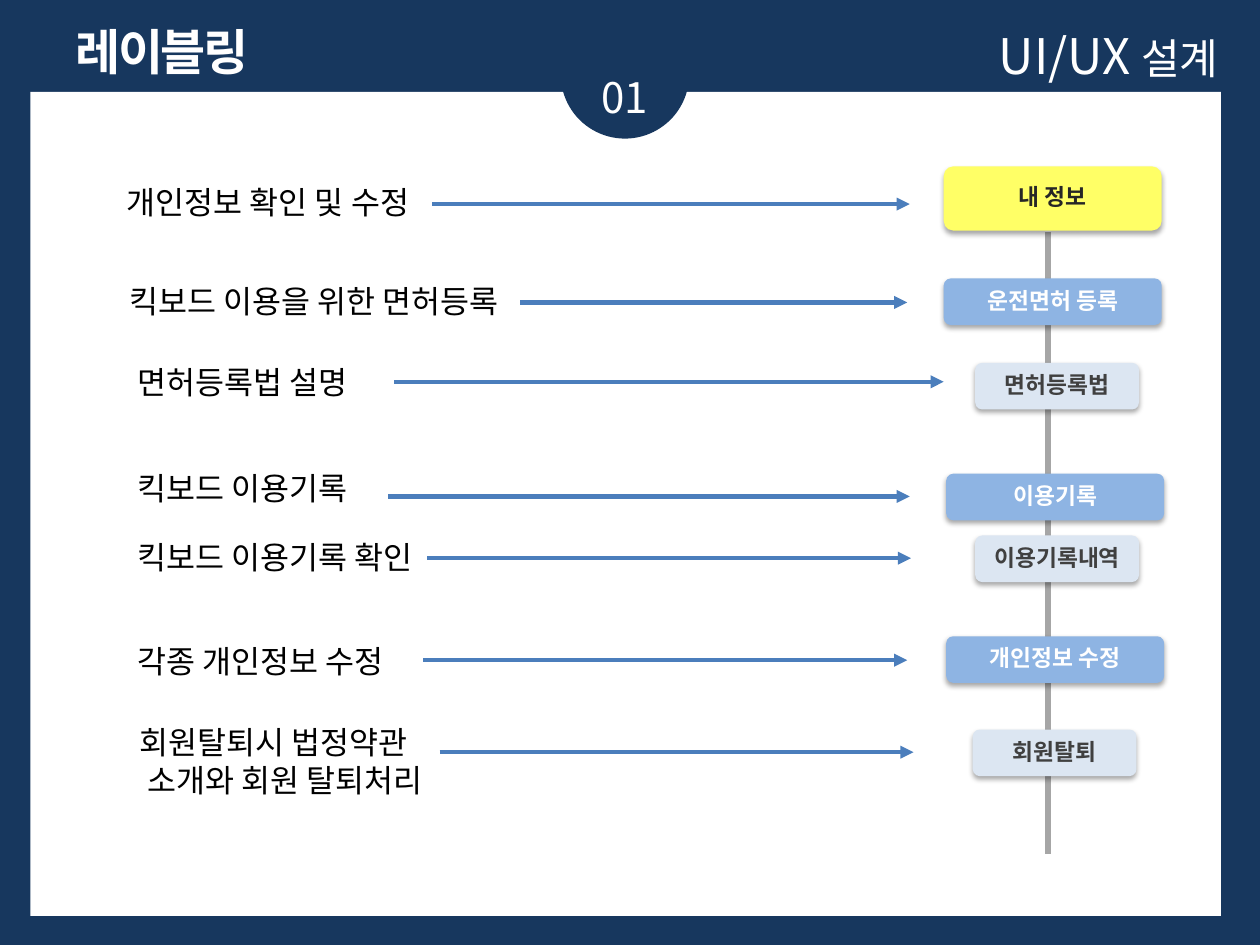
from lxml import etree
from pptx import Presentation, util as u
from pptx.dml.color import RGBColor
from pptx.enum import shapes, text
from pptx.oxml import ns

FONT = "Noto Sans CJK KR"
COLORS = {
    "navy": "17375E", "white": "FFFFFF", "black": "000000",
    "yellow": "FFFF66", "blue": "8EB4E3", "pale": "DCE6F2",
    "ink": "262626", "slate": "404040", "rail": "A6A6A6", "arrow": "4B7EBC",
}
# The slide is a grid of 100 columns and 75 rows.
COLUMNS, ROWS = 100, 75
WIDTH, HEIGHT = u.Inches(10), u.Inches(7.5)
RAIL = 83.2

# Menu level: width, height, fill, text colour
LEVELS = {
    "top": (17.3, 5.1, "yellow", "ink"),
    "main": (17.3, 3.7, "blue", "white"),
    "sub": (13, 3.7, "pale", "slate"),
}

# Label lines, label left and top, arrow start, end and row, menu name, level, left and top
ENTRIES = [
    (["개인정보 확인 및 수정"], 9.1, 14, 34.3, 72.2, 16.2, "내 정보", "top", 74.9, 13.2),
    (["킥보드 이용을 위한 면허등록"], 9.3, 21.9, 41.3, 72, 24, "운전면허 등록", "main", 74.9, 22.1),
    (["면허등록법 설명"], 9.9, 28.3, 31.3, 74.9, 30.3, "면허등록법", "sub", 77.4, 28.8),
    (["킥보드 이용기록"], 9.9, 36.7, 30.8, 72.2, 39.4, "이용기록", "main", 75.1, 37.6),
    (["킥보드 이용기록 확인"], 9.9, 42.2, 33.9, 72.3, 44.3, "이용기록내역", "sub", 77.4, 42.5),
    (["각종 개인정보 수정"], 9.9, 50.5, 33.6, 72, 52.4, "개인정보 수정", "main", 75.1, 50.5),
    (["회원탈퇴시 법정약관", "소개와 회원 탈퇴처리"], 10.1, 56.9, 34.9, 72.5, 59.7,
     "회원탈퇴", "sub", 77.2, 57.9),
]


def across(columns):
    """Length of a number of grid columns."""
    return u.Emu(round(WIDTH * columns / COLUMNS))


def down(rows):
    """Length of a number of grid rows."""
    return u.Emu(round(HEIGHT * rows / ROWS))


def place(left, top, width, height):
    """Turn a grid area into slide lengths."""
    return across(left), down(top), across(width), down(height)


def rgb(name):
    """Look up a named colour."""
    return RGBColor.from_string(COLORS[name])


def add_span(para, words, size=18, color="black", bold=False, spacing=None):
    """Add formatted words to a paragraph."""
    span = para.add_run()
    span.text = words
    span.font.size, span.font.bold, span.font.name = u.Pt(size), bold, FONT
    span.font.color.rgb = rgb(color)
    properties = span.font._element
    etree.SubElement(properties, ns.qn("a:ea"), typeface=FONT)
    if spacing is not None:
        properties.set("spc", str(round(spacing * 100)))


def add_text(page, lines, area, align=text.PP_ALIGN.LEFT, indent=0, **style):
    """Add a text box; lines after the first may be indented."""
    box = page.shapes.add_textbox(*place(*area))
    box.text_frame.word_wrap = True
    for number, words in enumerate(lines):
        para = box.text_frame.add_paragraph() if number else box.text_frame.paragraphs[0]
        para.alignment = align
        if number and indent:
            para._p.get_or_add_pPr().set("marL", str(across(indent)))
        add_span(para, words, **style)
    return box


def add_block(page, kind, area, fill):
    """Add a plain filled shape without outline."""
    block = page.shapes.add_shape(kind, *place(*area))
    block.shadow.inherit = False
    block.fill.solid()
    block.fill.fore_color.rgb = rgb(fill)
    block.line.fill.background()
    return block


def add_shadow(block):
    """Give a shape a soft shadow straight below it."""
    effects = block._element.spPr.find(ns.qn("a:effectLst"))
    shadow = etree.SubElement(
        effects, ns.qn("a:outerShdw"), blurRad=str(u.Pt(3.1)), dist=str(u.Pt(1.8)),
        dir="5400000", algn="t", rotWithShape="0")
    tone = etree.SubElement(shadow, ns.qn("a:srgbClr"), val=COLORS["black"])
    etree.SubElement(tone, ns.qn("a:alpha"), val="35000")


def add_menu(page, name, level, left, top):
    """Add one rounded menu box."""
    width, height, fill, color = LEVELS[level]
    block = add_block(page, shapes.MSO_SHAPE.ROUNDED_RECTANGLE, (left, top, width, height), fill)
    block.adjustments[0] = 0.15
    add_shadow(block)
    frame = block.text_frame
    frame.margin_left = frame.margin_right = u.Inches(0.05)
    frame.margin_top = frame.margin_bottom = u.Inches(0.03)
    frame.vertical_anchor = text.MSO_ANCHOR.MIDDLE
    para = frame.paragraphs[0]
    para.alignment = text.PP_ALIGN.CENTER
    para.line_spacing, para.space_after = 0.9, u.Pt(4.5)
    add_span(para, name, size=13, color=color, bold=True)


def add_line(page, start, end, color, weight, arrow=False):
    """Add a straight line, with an arrowhead at its end if asked."""
    line = page.shapes.add_connector(
        shapes.MSO_CONNECTOR.STRAIGHT, across(start[0]), down(start[1]),
        across(end[0]), down(end[1]))
    line.line.color.rgb, line.line.width = rgb(color), u.Pt(weight)
    if arrow:
        etree.SubElement(line.line._get_or_add_ln(), ns.qn("a:tailEnd"), type="triangle")
    etree.SubElement(line._element.spPr, ns.qn("a:effectLst"))


def set_title(page, words):
    """Move the title placeholder into the header and fill it."""
    title = page.shapes.title
    title.left, title.top, title.width, title.height = place(4.4, 1.2, 16.9, 5.7)
    frame = title.text_frame
    frame.word_wrap = False
    frame.auto_size = text.MSO_AUTO_SIZE.NONE
    frame.vertical_anchor = text.MSO_ANCHOR.TOP
    para = frame.paragraphs[0]
    para.alignment = text.PP_ALIGN.CENTER
    add_span(para, words, size=28, color="white", bold=True, spacing=-1.5)


def add_header(page):
    """Add the white panel, the number badge and the header texts."""
    add_block(page, shapes.MSO_SHAPE.RECTANGLE, (2.4, 7.3, 94.5, 65.4), "white")
    add_block(page, shapes.MSO_SHAPE.OVAL, (44.5, 0.8, 10.2, 10.2), "navy")
    add_text(page, ["01"], (43.7, 5.2, 11.8, 5), text.PP_ALIGN.CENTER, size=24, color="white")
    set_title(page, "레이블링")
    subject = add_text(page, ["UI/UX "], (58.3, 1.5, 39.4, 5.7), text.PP_ALIGN.RIGHT,
                       size=28, color="white")
    add_span(subject.text_frame.paragraphs[0], "설계", size=24, color="white")


def main():
    """Build and save the slide."""
    deck = Presentation()
    deck.slide_width, deck.slide_height = WIDTH, HEIGHT
    page = deck.slides.add_slide(deck.slide_layouts[5])
    page.background.fill.solid()
    page.background.fill.fore_color.rgb = rgb("navy")
    add_header(page)
    add_line(page, (RAIL, 18.4), (RAIL, 67.8), "rail", 3.25)
    for lines, left, top, start, end, row, name, level, menu_left, menu_top in ENTRIES:
        add_menu(page, name, level, menu_left, menu_top)
        add_text(page, lines, (left, top, 49.6, 1 + 3 * len(lines)), indent=0.6)
        add_line(page, (start, row), (end, row), "arrow", 2.5, arrow=True)
    deck.save("out.pptx")


main()
